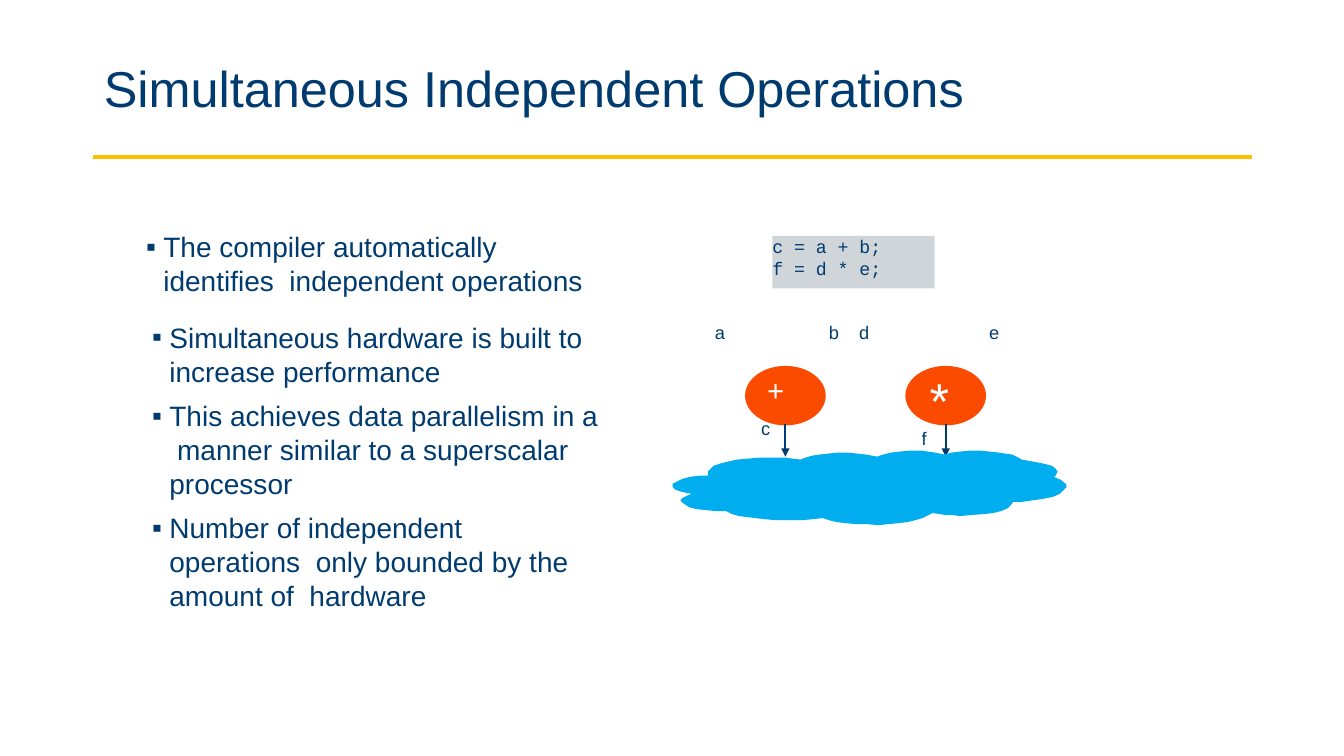
from lxml import etree
from pptx import Presentation
from pptx.dml.color import RGBColor
from pptx.enum.shapes import MSO_CONNECTOR as Link, MSO_SHAPE as Kind
from pptx.enum.text import MSO_ANCHOR as Anchor, PP_ALIGN as Align
from pptx.oxml.ns import qn
from pptx.util import Inches, Pt

NAVY, GOLD, GREY = "003B70", "FFC000", "D0D5D9"
RED, SKY, WHITE = "FB4B01", "00ADEE", "FFFFFF"

# Outline of the cloud, in hundredths of an inch
CLOUD = [
    (971, 447), (962, 447), (953, 448), (944, 449), (937, 451), (927, 449),
    (913, 447), (903, 447), (893, 448), (884, 449), (876, 451), (870, 453),
    (859, 451), (850, 450), (840, 449), (831, 449), (822, 450), (813, 451),
    (806, 452), (799, 454), (794, 456), (786, 455), (779, 454), (754, 454),
    (742, 455), (731, 456), (722, 458), (714, 460), (708, 462), (702, 468),
    (702, 472), (693, 472), (685, 473), (677, 475), (667, 480), (667, 483),
    (670, 486), (676, 488), (686, 490), (681, 492), (677, 494), (675, 496),
    (676, 498), (683, 503), (690, 505), (699, 506), (709, 507), (720, 507),
    (726, 510), (733, 512), (741, 513), (749, 514), (758, 515), (768, 516),
    (787, 516), (797, 516), (807, 515), (816, 514), (822, 516), (830, 518),
    (839, 519), (849, 520), (860, 520), (871, 521), (881, 520), (891, 519),
    (900, 518), (908, 516), (915, 514), (925, 509), (932, 510), (938, 511),
    (945, 511), (952, 512), (964, 511), (976, 510), (985, 509), (993, 507),
    (1000, 504), (1005, 498), (1013, 498), (1020, 497), (1027, 496),
    (1034, 495), (1044, 493), (1051, 490), (1058, 483), (1057, 480),
    (1052, 476), (1045, 473), (1047, 472), (1049, 468), (1047, 465),
    (1043, 462), (1035, 460), (1025, 458), (1013, 456), (1012, 455),
    (1004, 451), (990, 449), (981, 448),
]


def color(text):
    return RGBColor.from_string(text)


def apply(item, **values):
    for name, value in values.items():
        setattr(item, name, value)


class Page:
    def __init__(self, deck, font="Arial"):
        self.slide = deck.slides.add_slide(deck.slide_layouts[5])
        self.shapes = self.slide.shapes
        self.font = font

    def fill_in(self, shape, lines, size, tone=NAVY, font=None, top=0, **form):
        """Fill a shape with left-aligned paragraphs without side insets."""
        frame = shape.text_frame
        apply(frame, word_wrap=True, vertical_anchor=Anchor.TOP,
              margin_left=0, margin_right=0, margin_bottom=0,
              margin_top=Inches(top))
        for i, line in enumerate(lines):
            para = frame.add_paragraph() if i else frame.paragraphs[0]
            apply(para, alignment=Align.LEFT, **form)
            if i == 0:
                para.space_before = Pt(0)
            run = para.add_run()
            run.text = line
            apply(run.font, name=font or self.font, size=Pt(size))
            run.font.color.rgb = color(tone)
        return frame

    def title(self, text):
        shape = self.shapes.title
        apply(shape, left=Inches(0.92), top=Inches(0.4),
              width=Inches(11.5), height=Inches(1.45))
        frame = self.fill_in(shape, [text], 36, top=0.17)
        frame.margin_left = Inches(0.11)

    def text(self, box, lines, size, **style):
        shape = self.shapes.add_textbox(*map(Inches, box))
        return self.fill_in(shape, lines, size, **style)

    def bullets(self, box, lines):
        frame = self.text(box, lines, 20, top=0.02, space_before=Pt(8))
        for para in frame.paragraphs:
            props = para._p.get_or_add_pPr()
            props.set("marL", str(Inches(0.18)))
            props.set("indent", str(Inches(-0.17)))
            etree.SubElement(props, qn("a:buFont"), typeface=self.font)
            etree.SubElement(props, qn("a:buChar"), char="▪")

    def tab(self, para, place):
        props = para._p.get_or_add_pPr()
        stops = etree.SubElement(props, qn("a:tabLst"))
        etree.SubElement(stops, qn("a:tab"), pos=str(Inches(place)), algn="l")

    def paint(self, shape, fill):
        shape.shadow.inherit = False
        shape.fill.solid()
        shape.fill.fore_color.rgb = color(fill)
        shape.line.fill.background()
        return shape

    def block(self, kind, box, fill):
        return self.paint(self.shapes.add_shape(kind, *map(Inches, box)), fill)

    def outline(self, points, fill):
        pen = self.shapes.build_freeform(*points[0], scale=Inches(0.01))
        pen.add_line_segments(points[1:], close=True)
        self.paint(pen.convert_to_shape(), fill)

    def line(self, ends, tone, width, arrow=False):
        link = self.shapes.add_connector(Link.STRAIGHT, *map(Inches, ends))
        link.line.width = Pt(width)
        link.line.color.rgb = color(tone)
        if arrow:
            etree.SubElement(link.line._get_or_add_ln(), qn("a:tailEnd"),
                             type="triangle")
        etree.SubElement(link._element.spPr, qn("a:effectLst"))


def main():
    deck = Presentation()
    apply(deck, slide_width=Inches(13.33), slide_height=Inches(7.5))
    page = Page(deck)
    page.title("Simultaneous Independent Operations")
    page.line((0.92, 1.56, 12.42, 1.56), GOLD, 3)

    page.bullets((1.44, 2.26, 4.64, 0.69), [
        "The compiler automatically identifies  independent operations"])
    page.bullets((1.5, 3.16, 4.44, 2.93), [
        "Simultaneous hardware is built to  increase performance",
        "This achieves data parallelism in a  manner similar to a "
        "superscalar  processor",
        "Number of independent operations  only bounded by the amount of  "
        "hardware"])

    code = page.block(Kind.RECTANGLE, (7.66, 2.34, 1.61, 0.52), GREY)
    page.fill_in(code, ["c = a + b;", "f = d * e;"], 13, font="Courier New",
                 line_spacing=Pt(15.5))

    for mid in (7.79, 9.38):
        page.block(Kind.OVAL, (mid - 0.4, 3.63, 0.8, 0.59), RED)
        page.line((mid, 4.21, mid, 4.53), NAVY, 1.5, arrow=True)
    page.text((7.61, 3.52, 0.33, 0.5), ["+"], 21, tone=WHITE, top=0.17)
    page.text((9.22, 3.64, 0.34, 0.73), ["*"], 36, tone=WHITE, top=0.02)

    labels = [("a", 7.09, 3.16), ("b\td", 8.22, 3.16), ("e", 9.81, 3.16),
              ("c", 7.55, 4.11), ("f", 9.14, 4.21)]
    for name, left, top in labels:
        width = 0.65 if "\t" in name else 0.2
        frame = page.text((left, top, width, 0.29), [name], 13, top=0.03)
        if "\t" in name:
            page.tab(frame.paragraphs[0], 0.3)

    page.outline(CLOUD, SKY)
    deck.save("out.pptx")


if __name__ == "__main__":
    main()
